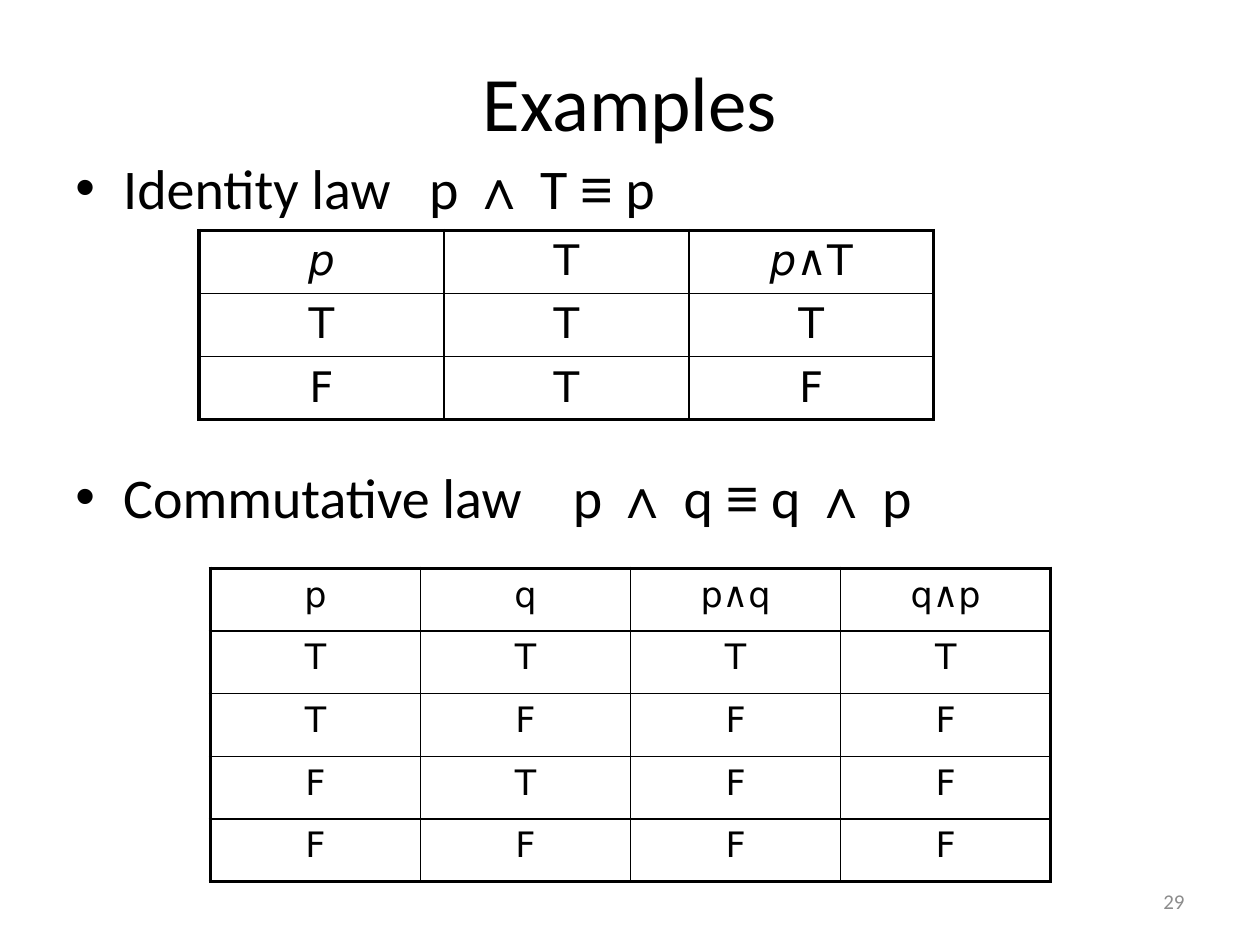
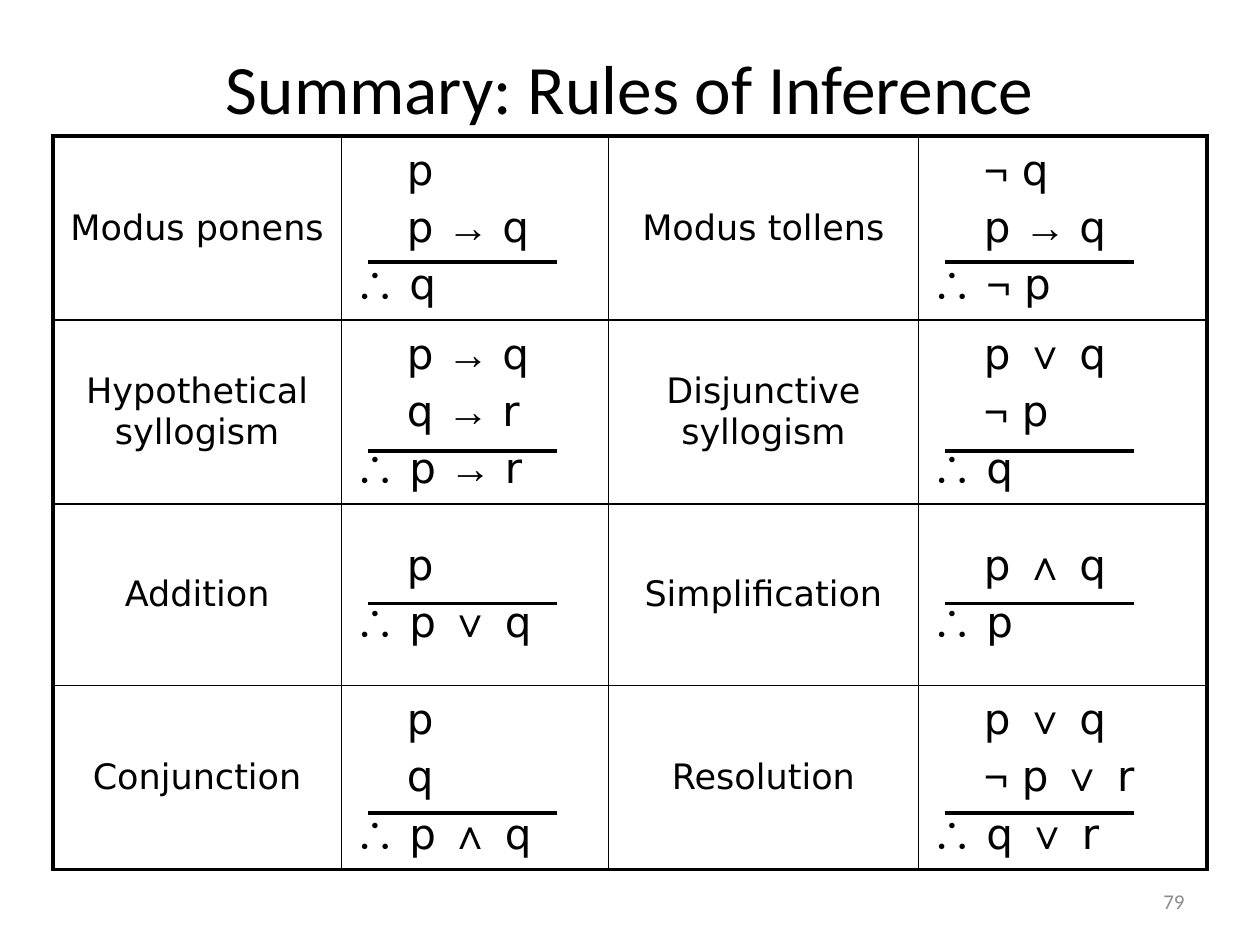
from itertools import groupby

from lxml.etree import SubElement
from pptx import Presentation
from pptx.dml.color import RGBColor
from pptx.enum.shapes import MSO_CONNECTOR
from pptx.enum.text import MSO_ANCHOR, PP_ALIGN
from pptx.oxml import parse_xml
from pptx.oxml.ns import nsdecls, qn
from pptx.util import Inches, Pt

BLACK, GREY = "000000", "8C8C8C"
HEADING_FONT, TABLE_FONT, SYMBOL_FONT = "Calibri", "DejaVu Sans", "Arial"
SYMBOLS = "∧∨→∴¬≡"
THICK, THIN = 2.25, 1
PREMISE_INDENT = 0.42

IDENTITY = [["p", "T", "p∧T"], ["T", "T", "T"], ["F", "T", "F"]]
COMMUTATIVE = [
    ["p", "q", "p∧q", "q∧p"],
    ["T", "T", "T", "T"],
    ["T", "F", "F", "F"],
    ["F", "T", "F", "F"],
    ["F", "F", "F", "F"],
]
RULES = [
    [("Modus ponens", ["p", "p → q", "∴ q"]),
     ("Modus tollens", ["¬ q", "p → q", "∴ ¬ p"])],
    [("Hypothetical syllogism", ["p → q", "q → r", "∴ p → r"]),
     ("Disjunctive syllogism", ["p ∨ q", "¬ p", "∴ q"])],
    [("Addition", ["p", "∴ p ∨ q"]),
     ("Simplification", ["p ∧ q", "∴ p"])],
    [("Conjunction", ["p", "q", "∴ p ∧ q"]),
     ("Resolution", ["p ∨ q", "¬ p ∨ r", "∴ q ∨ r"])],
]
RULE_COLS = [2.29, 2.12, 2.46, 2.29]
RULE_ROWS = [1.46, 1.46, 1.44, 1.46]
BAR_DROPS = [1, 1.04, 0.79, 1.01]


def rgb(value):
    """Turn a hex string into a colour."""
    return RGBColor.from_string(value)


def add_run(p, text, size, font, color=BLACK, italic=False):
    """Append one formatted run."""
    r = p.add_run()
    r.text = text
    r.font.size = Pt(size)
    r.font.name = font
    r.font.italic = italic
    r.font.color.rgb = rgb(color)
    return r


def add_formula(p, text, size, font):
    """Append a formula, with its logic symbols in the symbol font."""
    for is_symbol, chars in groupby(text, lambda ch: ch in SYMBOLS):
        add_run(p, "".join(chars), size, SYMBOL_FONT if is_symbol else font)


def add_text_box(s, box, anchor=MSO_ANCHOR.MIDDLE):
    """Add a wrapping text box and return its text frame."""
    tf = s.shapes.add_textbox(*map(Inches, box)).text_frame
    tf.word_wrap = True
    tf.vertical_anchor = anchor
    return tf


def add_frame_slide(prs, title, title_box, title_size, number):
    """Add a slide with its title and page number."""
    s = prs.slides.add_slide(prs.slide_layouts[6])
    p = add_text_box(s, title_box).paragraphs[0]
    p.alignment = PP_ALIGN.CENTER
    add_run(p, title, title_size, HEADING_FONT)
    p = add_text_box(s, (7.17, 6.95, 2.33, 0.4)).paragraphs[0]
    p.alignment = PP_ALIGN.RIGHT
    add_run(p, str(number), 12, HEADING_FONT, GREY)
    return s


def add_law(p, name, gap, formula):
    """Fill a bulleted paragraph with a law's name and its formula."""
    pPr = p._p.get_or_add_pPr()
    pPr.set("marL", str(Inches(0.38)))
    pPr.set("indent", str(-Inches(0.38)))
    SubElement(pPr, qn("a:buFont")).set("typeface", "Arial")
    SubElement(pPr, qn("a:buChar")).set("char", "•")
    add_run(p, name, 32, HEADING_FONT)
    r = add_run(p, " ", 32, HEADING_FONT)
    r.font._element.set("spc", str(int(gap * 100)))
    add_formula(p, formula, 32, HEADING_FONT)


def set_borders(cell, widths):
    """Draw the left, right, top and bottom borders of a cell."""
    tcPr = cell._tc.get_or_add_tcPr()
    for i, (side, width) in enumerate(zip("LRTB", widths)):
        tcPr.insert(i, parse_xml(
            f'<a:ln{side} {nsdecls("a")} w="{Pt(width)}"><a:solidFill>'
            f'<a:srgbClr val="{BLACK}"/></a:solidFill></a:ln{side}>'))


def add_grid(s, left, top, cols, rows):
    """Add an unfilled table with a thick frame and thin inner lines."""
    size = map(Inches, (left, top, sum(cols), sum(rows)))
    tbl = s.shapes.add_table(len(rows), len(cols), *size).table
    tbl.first_row = tbl.horz_banding = False
    for col, width in zip(tbl.columns, cols):
        col.width = Inches(width)
    for row, height in zip(tbl.rows, rows):
        row.height = Inches(height)
    for i in range(len(rows)):
        for j in range(len(cols)):
            cell = tbl.cell(i, j)
            cell.fill.background()
            edges = (j == 0, j == len(cols) - 1, i == 0, i == len(rows) - 1)
            set_borders(cell, [THICK if edge else THIN for edge in edges])
    return tbl


def add_truth_table(s, box, values, size, italic_p=False):
    """Add a truth table of equal cells inside a box."""
    left, top, width, height = box
    n_rows, n_cols = len(values), len(values[0])
    tbl = add_grid(s, left, top, [width / n_cols] * n_cols,
                   [height / n_rows] * n_rows)
    for i, row in enumerate(values):
        for j, text in enumerate(row):
            p = tbl.cell(i, j).text_frame.paragraphs[0]
            p.alignment = PP_ALIGN.CENTER
            for is_p, chars in groupby(text, lambda ch: italic_p and ch == "p"):
                add_run(p, "".join(chars), size, TABLE_FONT, italic=is_p)


def fill_argument(cell, lines):
    """Write the indented premises and the conclusion of a rule."""
    tf = cell.text_frame
    for i, line in enumerate(lines):
        p = tf.add_paragraph() if i else tf.paragraphs[0]
        if i:
            p.space_before = Pt(4.8)
        if not line.startswith("∴"):
            p._p.get_or_add_pPr().set("marL", str(Inches(PREMISE_INDENT)))
        add_formula(p, line, 24, TABLE_FONT)


def add_bar(s, left, top, width):
    """Draw the bar between premises and conclusion."""
    line = s.shapes.add_connector(
        MSO_CONNECTOR.STRAIGHT, *map(Inches, (left, top, left + width, top)))
    line.line.color.rgb = rgb(BLACK)
    line.line.width = Pt(THICK)
    SubElement(line._element.spPr, qn("a:effectLst"))


def add_rules_table(s, left, top):
    """Add the table of inference rules with its bars."""
    tbl = add_grid(s, left, top, RULE_COLS, RULE_ROWS)
    for i, pair in enumerate(RULES):
        row_top = top + sum(RULE_ROWS[:i])
        for k, (name, lines) in enumerate(pair):
            name_cell, argument_cell = tbl.cell(i, 2 * k), tbl.cell(i, 2 * k + 1)
            for cell in (name_cell, argument_cell):
                cell.vertical_anchor = MSO_ANCHOR.MIDDLE
            p = name_cell.text_frame.paragraphs[0]
            p.alignment = PP_ALIGN.CENTER
            add_run(p, name, 20, TABLE_FONT)
            fill_argument(argument_cell, lines)
            col_left = left + sum(RULE_COLS[:2 * k + 1])
            add_bar(s, col_left + 0.21, row_top + BAR_DROPS[i], 1.5)


def build_examples(prs):
    """Build the slide with two laws and their truth tables."""
    s = add_frame_slide(prs, "Examples", (0.5, 0.17, 9, 1.25), 44, 29)
    tf = add_text_box(s, (0.5, 1.17, 9, 5.53), MSO_ANCHOR.TOP)
    add_law(tf.paragraphs[0], "Identity law", 14.5, "p ∧ T ≡ p")
    p = tf.add_paragraph()
    p.space_before = Pt(138)
    add_law(p, "Commutative law", 21.7, "p ∧ q ≡ q ∧ p")
    add_truth_table(s, (1.58, 1.83, 5.83, 1.47), IDENTITY, 24, italic_p=True)
    add_truth_table(s, (1.67, 4.51, 6.67, 2.49), COMMUTATIVE, 20)


def build_summary(prs):
    """Build the slide that sums up the rules of inference."""
    s = add_frame_slide(prs, "Summary: Rules of Inference",
                        (0.5, 0.3, 9, 0.78), 39.6, 79)
    add_rules_table(s, 0.42, 1.08)


def main():
    """Build and save the presentation."""
    prs = Presentation()
    prs.slide_width, prs.slide_height = Inches(10), Inches(7.5)
    build_examples(prs)
    build_summary(prs)
    prs.save("out.pptx")


if __name__ == "__main__":
    main()
